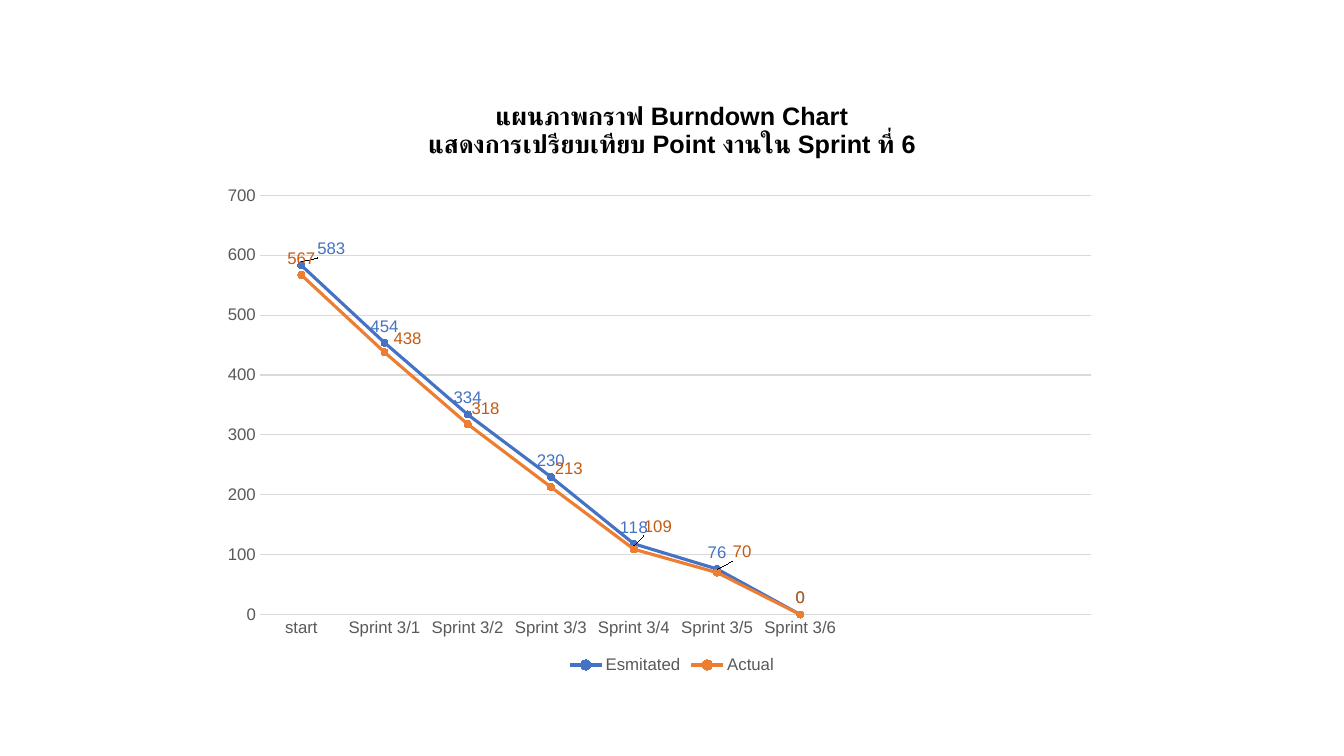
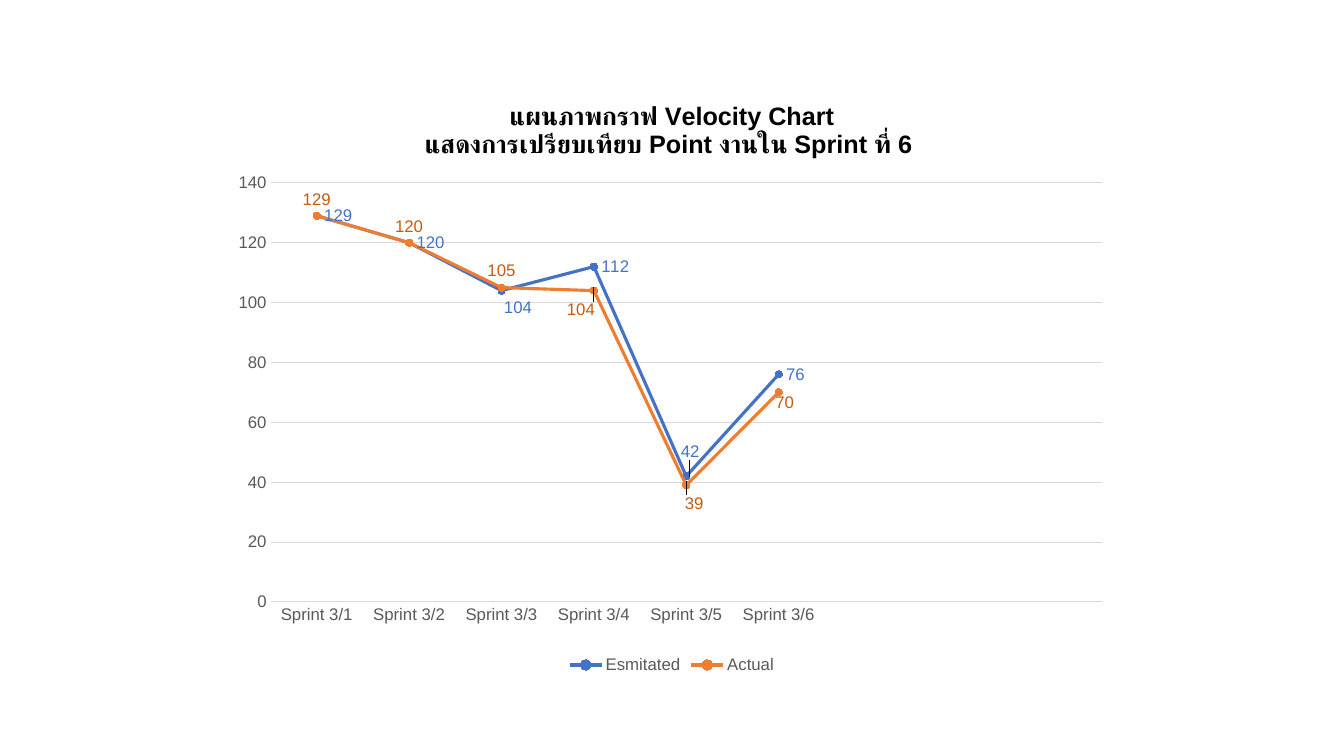
"""Build the burndown and velocity chart slides of sprint 6."""
from pptx import Presentation
from pptx.chart.data import CategoryChartData
from pptx.dml.color import RGBColor
from pptx.enum.chart import (XL_CHART_TYPE, XL_LABEL_POSITION, XL_LEGEND_POSITION,
                             XL_MARKER_STYLE, XL_TICK_MARK)
from pptx.oxml import parse_xml
from pptx.oxml.ns import nsdecls
from pptx.util import Emu, Pt

SCALE = 914400 / 100.8
FACE = "Arial"
HUES = {"ink": "000000", "text": "595959", "grid": "D9D9D9",
        "blue": "4472C4", "orange": "ED7D31", "rust": "C55A11"}
TOP, RIGHT = XL_LABEL_POSITION.ABOVE, XL_LABEL_POSITION.RIGHT
BOX = (224, 80, 896, 598)
SPRINTS = [f"Sprint 3/{n}" for n in range(1, 7)]
BLANKS = 3


def px(n):
    return Emu(round(n * SCALE))


def hue(name):
    return RGBColor.from_string(HUES[name])


def put(item, **style):
    for key, val in style.items():
        setattr(item, key, val)


def place(**parts):
    tags = "".join(f'<c:{key} val="{val}"/>' for key, val in parts.items())
    return parse_xml(f'<c:layout {nsdecls("c")}><c:manualLayout>{tags}'
                     '</c:manualLayout></c:layout>')


class Deck:
    def __init__(self, wide, high):
        self.show = Presentation()
        put(self.show, slide_width=px(wide), slide_height=px(high))
        self.slide = None

    def page(self):
        self.slide = self.show.slides.add_slide(self.show.slide_layouts[6])

    def font(self, font, size=12, tone="text", bold=False):
        put(font, name=FACE, size=Pt(size), bold=bold)
        font.color.rgb = hue(tone)

    def line(self, line, tone, width=0.75):
        line.color.rgb = hue(tone)
        line.width = Pt(width)

    def chart(self, title, cats, rows, area, peak, step):
        data = CategoryChartData()
        data.categories = cats + [""] * BLANKS
        for row in rows:
            data.add_series(row["name"], row["vals"] + [None] * BLANKS)
        frame = self.slide.shapes.add_chart(
            XL_CHART_TYPE.LINE_MARKERS, *map(px, BOX), data)
        chart = frame.chart
        self.font(chart.font, 10, "ink")
        chart.plots[0].vary_by_categories = False
        self.title(chart, title)
        self.axes(chart, peak, step)
        chart.has_legend = True
        put(chart.legend, position=XL_LEGEND_POSITION.BOTTOM, include_in_layout=False)
        self.font(chart.legend.font)
        plot = chart.element.xpath(".//c:plotArea")[0]
        for old in plot.xpath("./c:layout"):
            plot.remove(old)
        plot.insert(0, place(layoutTarget="inner", xMode="edge", yMode="edge",
                             **dict(zip("xywh", area))))
        nodes = chart.element.xpath(".//c:ser")
        for line, node, row in zip(chart.plots[0].series, nodes, rows):
            self.series(line, row)
            self.labels(line, node, row)

    def title(self, chart, text):
        chart.has_title = True
        chart.chart_title.include_in_layout = False
        frame = chart.chart_title.text_frame
        frame.text = text
        for para in frame.paragraphs:
            for run in para.runs:
                self.font(run.font, 18, "ink", True)

    def axes(self, chart, peak, step):
        for axis in (chart.category_axis, chart.value_axis):
            put(axis, major_tick_mark=XL_TICK_MARK.NONE, minor_tick_mark=XL_TICK_MARK.NONE)
            self.font(axis.tick_labels.font)
        self.line(chart.category_axis.format.line, "grid")
        axis = chart.value_axis
        put(axis, minimum_scale=0, maximum_scale=peak, major_unit=step,
            has_major_gridlines=True)
        axis.format.line.fill.background()
        self.line(axis.major_gridlines.format.line, "grid")

    def series(self, line, row):
        line.smooth = False
        self.line(line.format.line, row["tone"], 2.25)
        put(line.marker, style=XL_MARKER_STYLE.CIRCLE, size=5)
        fill = line.marker.format.fill
        fill.solid()
        fill.fore_color.rgb = hue(row["tone"])
        self.line(line.marker.format.line, row["tone"])

    def labels(self, line, node, row):
        tags = line.data_labels
        put(tags, show_value=True, position=row["side"],
            number_format="#,##0", number_format_is_linked=False)
        self.font(tags.font, tone=row["ink"])
        for spot, (right, down) in row["moves"].items():
            tag = line.points[spot].data_label
            self.font(tag.font, tone=row["ink"])
            tag.position = row["side"]
            mark = node.xpath(f"./c:dLbls/c:dLbl/c:idx[@val='{spot}']")[0]
            mark.addnext(place(x=round(right / BOX[2], 4), y=round(down / BOX[3], 4)))


PLAN = {"name": "Esmitated", "tone": "blue", "ink": "blue"}
REAL = {"name": "Actual", "tone": "orange", "ink": "rust", "side": TOP}

deck = Deck(1344, 756)
deck.page()
deck.chart(
    "แผนภาพกราฟ Burndown Chart\nแสดงการเปรียบเทียบ Point งานใน Sprint ที่ 6",
    ["start"] + SPRINTS,
    [PLAN | {"vals": [583, 454, 334, 230, 118, 76, 0], "side": TOP,
             "moves": {0: (30, 0)}},
     REAL | {"vals": [567, 438, 318, 213, 109, 70, 0],
             "moves": {1: (23, 3), 2: (18, 1), 3: (18, -2), 4: (24, -6), 5: (25, -4)}}],
    (0.04, 0.193, 0.928, 0.701), 700, 100)
deck.page()
deck.chart(
    "แผนภาพกราฟ Velocity Chart\nแสดงการเปรียบเทียบ Point งานใน Sprint ที่ 6 ",
    SPRINTS,
    [PLAN | {"vals": [129, 120, 104, 112, 42, 76], "side": RIGHT,
             "moves": {2: (-5, 17), 4: (-13, -25)}},
     REAL | {"vals": [129, 120, 105, 104, 39, 70],
             "moves": {3: (-13, 36), 4: (8, 35), 5: (6, 27)}}],
    (0.052, 0.172, 0.928, 0.701), 140, 20)
deck.show.save("out.pptx")
